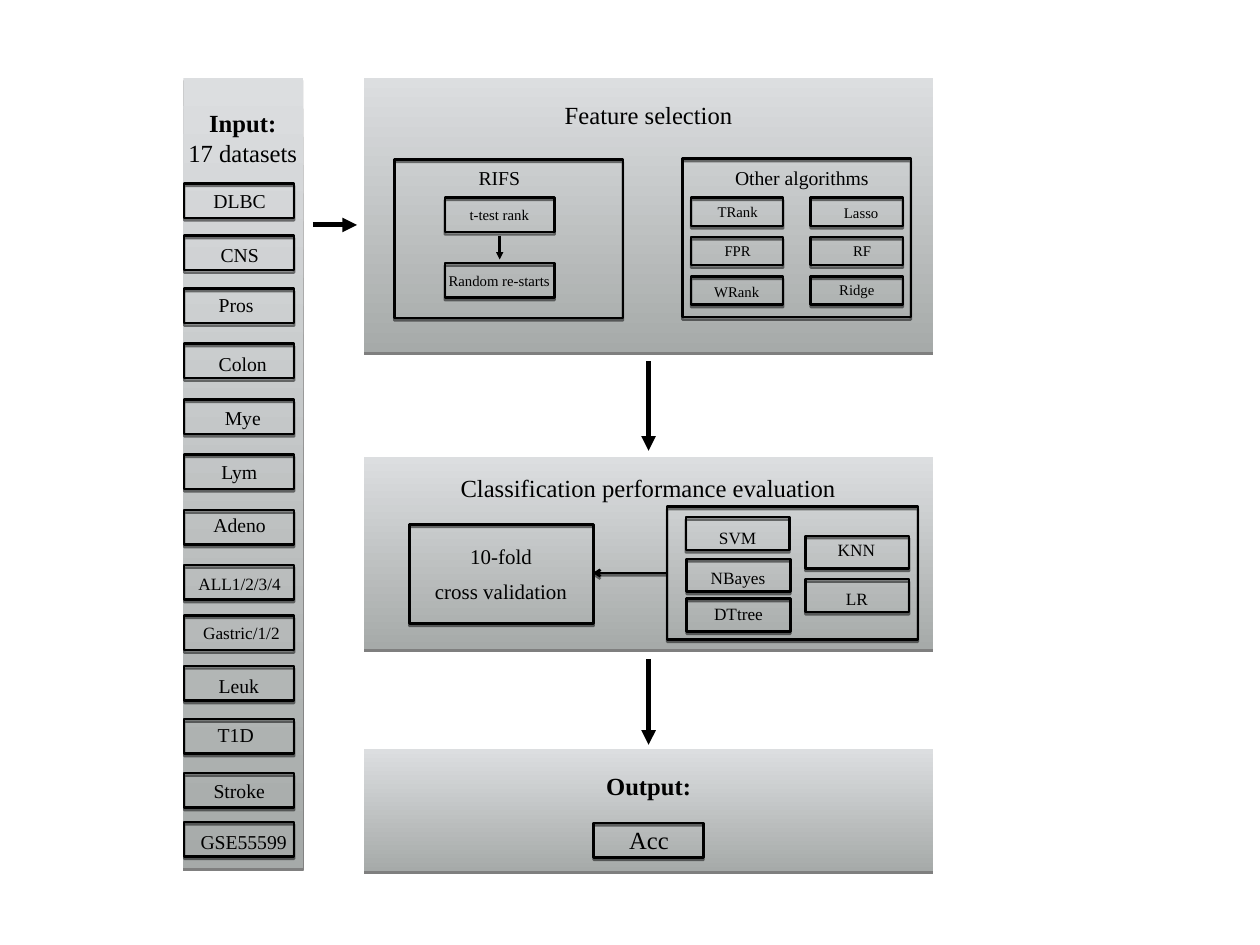
import dataclasses

import pptx
import pptx.dml.color
import pptx.enum.shapes
import pptx.enum.text
import pptx.oxml
import pptx.oxml.ns
import pptx.oxml.xmlchemy
import pptx.util
from pptx.util import Inches

qn = pptx.oxml.ns.qn


@dataclasses.dataclass(frozen=True)
class Theme:
    font: str = "Times New Roman"
    ink: str = "000000"
    panel_top: str = "DCDEE0"
    panel_bottom: str = "A6AAA9"
    heading: int = 20
    fold: int = 17
    body: int = 16
    method: int = 14
    small: int = 12
    thin: int = 2
    thick: int = 4


THEME = Theme()

# Height of a one-line label for each type size
LABEL_HEIGHT = {20: 0.45, 17: 0.4, 16: 0.38, 14: 0.35, 12: 0.31}

# Name, box top, label left, label top, label width, type size
DATASETS = [
    ("DLBC", 2.07, 2.35, 2.08, 0.71, THEME.body),
    ("CNS", 2.66, 2.43, 2.68, 0.55, THEME.body),
    ("Pros", 3.26, 2.41, 3.25, 0.51, THEME.body),
    ("Colon", 3.88, 2.41, 3.92, 0.66, THEME.body),
    ("Mye", 4.51, 2.48, 4.52, 0.52, THEME.body),
    ("Lym", 5.13, 2.44, 5.13, 0.52, THEME.body),
    ("Adeno", 5.76, 2.35, 5.73, 0.71, THEME.body),
    ("ALL1/2/3/4", 6.38, 2.17, 6.41, 1.07, THEME.method),
    ("Gastric/1/2", 6.95, 2.23, 6.97, 0.99, THEME.method),
    ("Leuk", 7.52, 2.41, 7.55, 0.57, THEME.body),
    ("T1D", 8.12, 2.4, 8.11, 0.52, THEME.body),
    ("Stroke", 8.73, 2.35, 8.74, 0.7, THEME.body),
    ("GSE55599", 9.28, 2.2, 9.31, 1.1, THEME.body),
]

# Name, label left, label top, label width; filled column by column
ALGORITHMS = [
    ("TRank", 8.04, 2.23, 0.57),
    ("FPR", 8.12, 2.67, 0.41),
    ("WRank", 8, 3.14, 0.63),
    ("Lasso", 9.47, 2.25, 0.5),
    ("RF", 9.57, 2.68, 0.32),
    ("Ridge", 9.41, 3.11, 0.52),
]

# Name, box left, box top, label left, label top, label width
CLASSIFIERS = [
    ("SVM", 7.74, 5.84, 8.05, 5.89, 0.55),
    ("NBayes", 7.75, 6.31, 7.96, 6.35, 0.74),
    ("DTtree", 7.75, 6.76, 8, 6.75, 0.67),
    ("KNN", 9.09, 6.05, 9.4, 6.03, 0.53),
    ("LR", 9.09, 6.54, 9.48, 6.58, 0.38),
]


def rgb(value):
    return pptx.dml.color.RGBColor.from_string(value)


def add_shadow(effects):
    effects.append(pptx.oxml.parse_xml(
        '<a:outerShdw xmlns:a="http://schemas.openxmlformats.org/drawingml/2006/main"'
        f' blurRad="0" dist="{pptx.util.Pt(2)}" dir="5400000" rotWithShape="0">'
        f'<a:srgbClr val="{THEME.ink}"><a:alpha val="50000"/></a:srgbClr></a:outerShdw>'))


def add_rectangle(shapes, left, top, width, height):
    rectangle = shapes.add_shape(
        pptx.enum.shapes.MSO_SHAPE.RECTANGLE,
        Inches(left), Inches(top), Inches(width), Inches(height))
    rectangle.shadow.inherit = False
    add_shadow(rectangle._element.spPr.find(qn("a:effectLst")))
    return rectangle


def add_panel(shapes, left, top, width, height):
    panel = add_rectangle(shapes, left, top, width, height)
    panel.line.fill.background()
    panel.fill.gradient()
    panel.fill.gradient_angle = 270
    for stop, position, color in zip(panel.fill.gradient_stops, (0, 1),
                                     (THEME.panel_top, THEME.panel_bottom)):
        stop.position = position
        stop.color.rgb = rgb(color)


def add_frame(shapes, left, top, width, height):
    frame = add_rectangle(shapes, left, top, width, height)
    frame.fill.background()
    frame.line.color.rgb = rgb(THEME.ink)
    frame.line.width = pptx.util.Pt(THEME.thin)


def add_label(shapes, lines, left, top, width, size, bold=False, height=None):
    """Centred text; only the first line may be bold."""
    label = shapes.add_textbox(Inches(left), Inches(top), Inches(width),
                               Inches(height or LABEL_HEIGHT[size]))
    frame = label.text_frame
    frame.margin_left = frame.margin_right = 0
    frame.margin_top = frame.margin_bottom = Inches(0.06)
    frame.vertical_anchor = pptx.enum.text.MSO_ANCHOR.MIDDLE
    frame.auto_size = pptx.enum.text.MSO_AUTO_SIZE.NONE
    frame.word_wrap = False
    frame.text = lines
    for number, paragraph in enumerate(frame.paragraphs):
        paragraph.alignment = pptx.enum.text.PP_ALIGN.CENTER
        paragraph.font.name = THEME.font
        paragraph.font.size = pptx.util.Pt(size)
        paragraph.font.color.rgb = rgb(THEME.ink)
        paragraph.font.bold = bold and number == 0


def add_arrow(shapes, start, end, width, head="triangle", shadow=False):
    arrow = shapes.add_connector(
        pptx.enum.shapes.MSO_CONNECTOR.STRAIGHT,
        Inches(start[0]), Inches(start[1]), Inches(end[0]), Inches(end[1]))
    arrow.line.color.rgb = rgb(THEME.ink)
    arrow.line.width = pptx.util.Pt(width)
    properties = arrow._element.spPr
    tip = pptx.oxml.xmlchemy.OxmlElement("a:tailEnd")
    tip.set("type", head)
    properties.find(qn("a:ln")).append(tip)
    effects = pptx.oxml.xmlchemy.OxmlElement("a:effectLst")
    properties.append(effects)
    if shadow:
        add_shadow(effects)


def add_input(shapes):
    add_panel(shapes, 2.07, 0.88, 1.35, 8.92)
    add_label(shapes, "Input:\n17 datasets", 1.54, 1.16, 2.4, THEME.heading,
              bold=True, height=0.79)
    for name, box_top, left, top, width, size in DATASETS:
        add_frame(shapes, 2.08, box_top, 1.24, 0.39)
        add_label(shapes, name, left, top, width, size)


def add_feature_selection(shapes):
    add_panel(shapes, 4.11, 0.88, 6.42, 3.1)
    add_label(shapes, "Feature selection", 6.31, 1.07, 2.02, THEME.heading)

    # RIFS steps
    add_frame(shapes, 4.45, 1.8, 2.58, 1.79)
    add_label(shapes, "RIFS", 5.34, 1.82, 0.59, THEME.body)
    for step, box_top, left, width in (("t-test rank", 2.23, 5.24, 0.79),
                                       ("Random re-starts", 2.97, 5, 1.27)):
        add_frame(shapes, 5.02, box_top, 1.24, 0.39)
        add_label(shapes, step, left, box_top + 0.04, width, THEME.small)
    add_arrow(shapes, (5.64, 2.66), (5.64, 2.93), THEME.thin)

    # Grid of other algorithms
    add_frame(shapes, 7.7, 1.79, 2.58, 1.79)
    add_label(shapes, "Other algorithms", 8.23, 1.82, 1.64, THEME.body)
    for index, (name, left, top, width) in enumerate(ALGORITHMS):
        column, row = divmod(index, 3)
        add_frame(shapes, 7.8 + 1.35 * column, 2.23 + 0.89 * row / 2, 1.04, 0.32)
        add_label(shapes, name, left, top, width, THEME.small)


def add_evaluation(shapes):
    add_panel(shapes, 4.11, 5.16, 6.42, 2.17)
    add_label(shapes, "Classification performance evaluation",
              5.13, 5.28, 4.37, THEME.heading)

    # Cross validation
    validation = shapes.add_group_shape().shapes
    add_frame(validation, 4.62, 5.92, 2.08, 1.12)
    add_label(validation, "10-fold", 5.25, 6.08, 0.81, THEME.fold)
    add_label(validation, "cross validation", 4.85, 6.47, 1.61, THEME.fold)

    # Classifiers
    add_frame(shapes, 7.53, 5.72, 2.83, 1.5)
    for name, box_left, box_top, left, top, width in CLASSIFIERS:
        add_frame(shapes, box_left, box_top, 1.17, 0.37)
        add_label(shapes, name, left, top, width, THEME.method)
    add_arrow(shapes, (7.53, 6.47), (6.69, 6.47), THEME.thin, "arrow", shadow=True)


def add_output(shapes):
    add_panel(shapes, 4.11, 8.46, 6.42, 1.38)
    add_label(shapes, "Output:", 6.78, 8.65, 1.08, THEME.heading, bold=True)
    add_frame(shapes, 6.7, 9.29, 1.24, 0.39)
    add_label(shapes, "Acc", 7.03, 9.26, 0.59, THEME.heading)


def main():
    deck = pptx.Presentation()
    deck.slide_width, deck.slide_height = Inches(14.22), Inches(10.67)
    shapes = deck.slides.add_slide(deck.slide_layouts[6]).shapes
    add_input(shapes)
    add_feature_selection(shapes)
    add_evaluation(shapes)
    add_output(shapes)

    # Flow between the stages
    for start, end in (((3.53, 2.54), (4.03, 2.54)),
                       ((7.32, 4.08), (7.32, 5.09)),
                       ((7.32, 7.44), (7.32, 8.41))):
        add_arrow(shapes, start, end, THEME.thick)
    deck.save("out.pptx")


if __name__ == "__main__":
    main()
